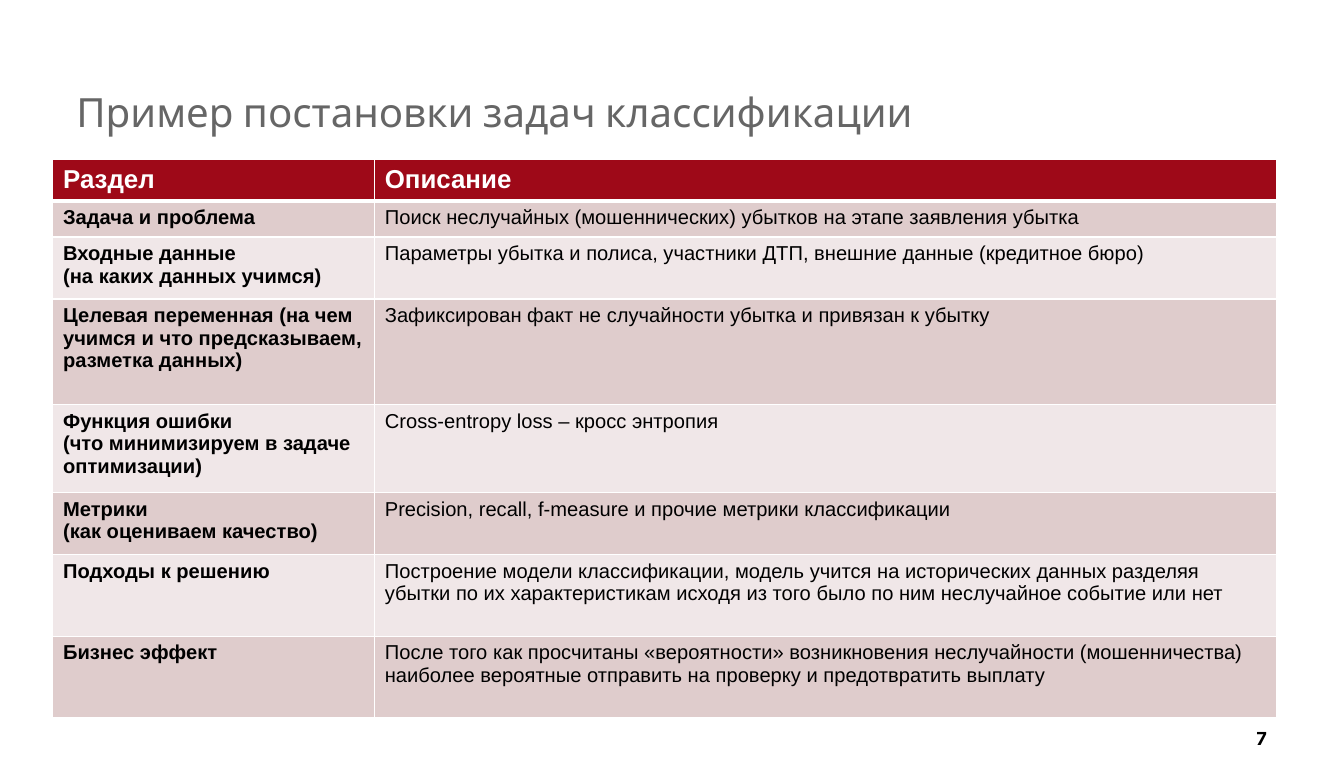
from lxml.etree import SubElement
from pptx import Presentation
from pptx.dml.color import RGBColor
from pptx.enum.text import MSO_ANCHOR, PP_ALIGN
from pptx.oxml.ns import qn
from pptx.util import Inches, Pt

WHITE = RGBColor(0xFF, 0xFF, 0xFF)
BLACK = RGBColor(0, 0, 0)
GREY = RGBColor(0x66, 0x66, 0x66)
RED = RGBColor(0x9E, 0x09, 0x18)
BANDS = (RGBColor(0xF0, 0xE7, 0xE8), RGBColor(0xDF, 0xCC, 0xCC))

COL_WIDTHS = (3.11, 8.72)
ROW_HEIGHTS = (0.35, 0.35, 0.6, 1.02, 0.85, 0.6, 0.79, 0.79)
ROWS = (
    ("Раздел", "Описание"),
    ("Задача и проблема",
     "Поиск неслучайных (мошеннических) убытков на этапе заявления убытка"),
    ("Входные данные\n(на каких данных учимся)",
     "Параметры убытка и полиса, участники ДТП, внешние данные (кредитное бюро)"),
    ("Целевая переменная (на чем учимся и что предсказываем, разметка данных)",
     "Зафиксирован факт не случайности убытка и привязан к убытку"),
    ("Функция ошибки\n(что минимизируем в задаче оптимизации)",
     "Cross-entropy loss – кросс энтропия"),
    ("Метрики\n(как оцениваем качество)",
     "Precision, recall, f-measure и прочие метрики классификации"),
    ("Подходы к решению",
     "Построение модели классификации, модель учится на исторических данных разделяя "
     "убытки по их характеристикам исходя из того было по ним неслучайное событие или нет"),
    ("Бизнес эффект",
     "После того как просчитаны «вероятности» возникновения неслучайности (мошенничества) "
     "наиболее вероятные отправить на проверку и предотвратить выплату"),
)


def write_text(tf, text, size, font, color, bold=False, align=PP_ALIGN.LEFT):
    """Fill a text frame with one paragraph per line of text."""
    tf.word_wrap = True
    for i, line in enumerate(text.split("\n")):
        p = tf.add_paragraph() if i else tf.paragraphs[0]
        p.alignment = align
        r = p.add_run()
        r.text = line
        r.font.size = Pt(size)
        r.font.name = font
        r.font.bold = bold
        r.font.color.rgb = color


def add_label(s, box, text, size, color, **style):
    """Add a vertically centred text box."""
    tf = s.shapes.add_textbox(*map(Inches, box)).text_frame
    tf.vertical_anchor = MSO_ANCHOR.MIDDLE
    write_text(tf, text, size, "Karla", color, **style)


def set_borders(cell, top, bottom):
    """Draw white cell borders with the given top and bottom widths."""
    tcPr = cell._tc.get_or_add_tcPr()
    widths = (("a:lnL", 1), ("a:lnR", 1), ("a:lnT", top), ("a:lnB", bottom))
    for i, (tag, width) in enumerate(widths):
        ln = SubElement(tcPr, qn(tag), w=str(Pt(width)))
        fill = SubElement(ln, qn("a:solidFill"))
        SubElement(fill, qn("a:srgbClr"), val=str(WHITE))
        tcPr.insert(i, ln)


def add_task_table(s, box):
    """Add the table of sections and their descriptions."""
    table = s.shapes.add_table(len(ROWS), len(COL_WIDTHS), *map(Inches, box)).table
    for col, width in zip(table.columns, COL_WIDTHS):
        col.width = Inches(width)
    for i, (texts, height) in enumerate(zip(ROWS, ROW_HEIGHTS)):
        table.rows[i].height = Inches(height)
        header = i == 0
        for j, text in enumerate(texts):
            cell = table.cell(i, j)
            cell.fill.solid()
            cell.fill.fore_color.rgb = RED if header else BANDS[i % 2]
            set_borders(cell, 3 if i == 1 else 1, 3 if header else 1)
            write_text(cell.text_frame, text, 18 if header else 14, "Arial",
                       WHITE if header else BLACK, bold=header or j == 0)


def main():
    """Build the slide and save it."""
    prs = Presentation()
    prs.slide_width = Inches(12.99)
    prs.slide_height = Inches(7.48)
    s = prs.slides.add_slide(prs.slide_layouts[6])
    add_label(s, (0.64, 0.76, 9.38, 0.63),
              "Пример постановки задач классификации", 28, GREY)
    add_task_table(s, (0.51, 1.54, sum(COL_WIDTHS), sum(ROW_HEIGHTS)))
    add_label(s, (9.31, 6.93, 3.03, 0.4), "7", 14, BLACK,
              bold=True, align=PP_ALIGN.RIGHT)
    prs.save("out.pptx")


if __name__ == "__main__":
    main()
